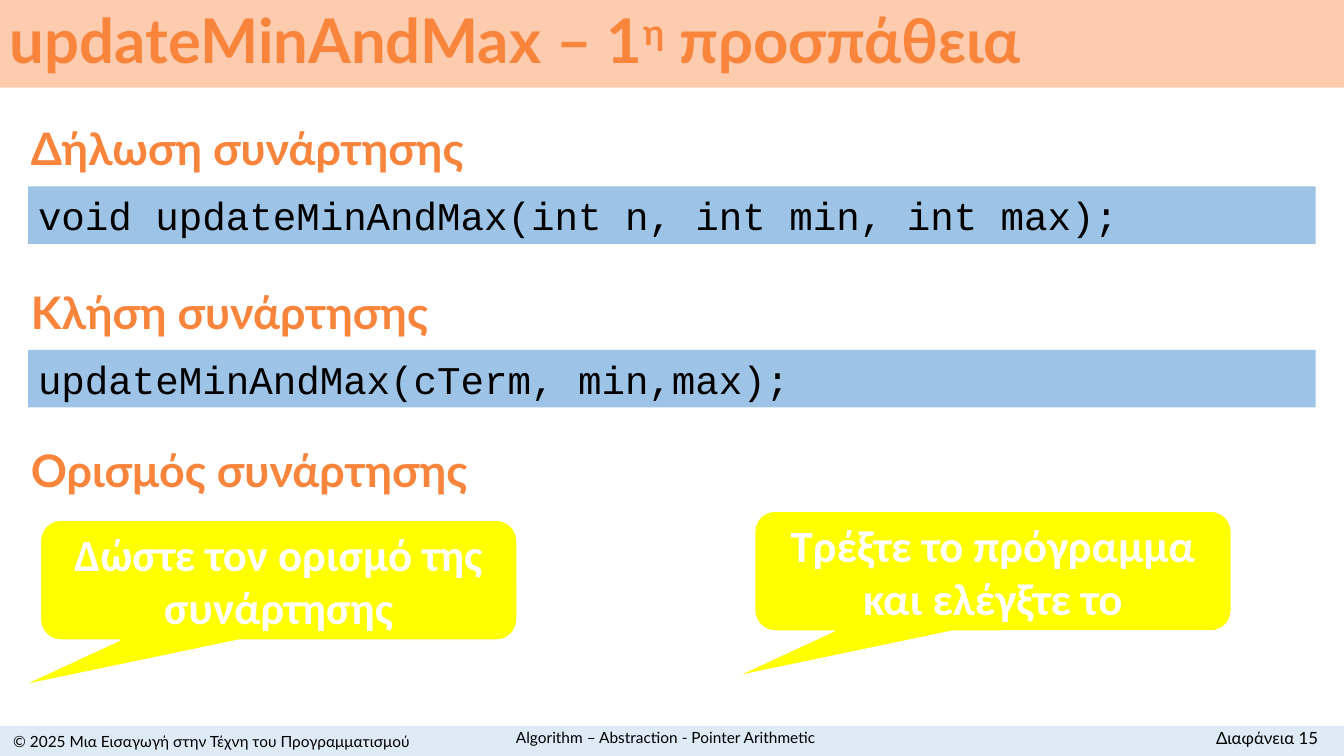
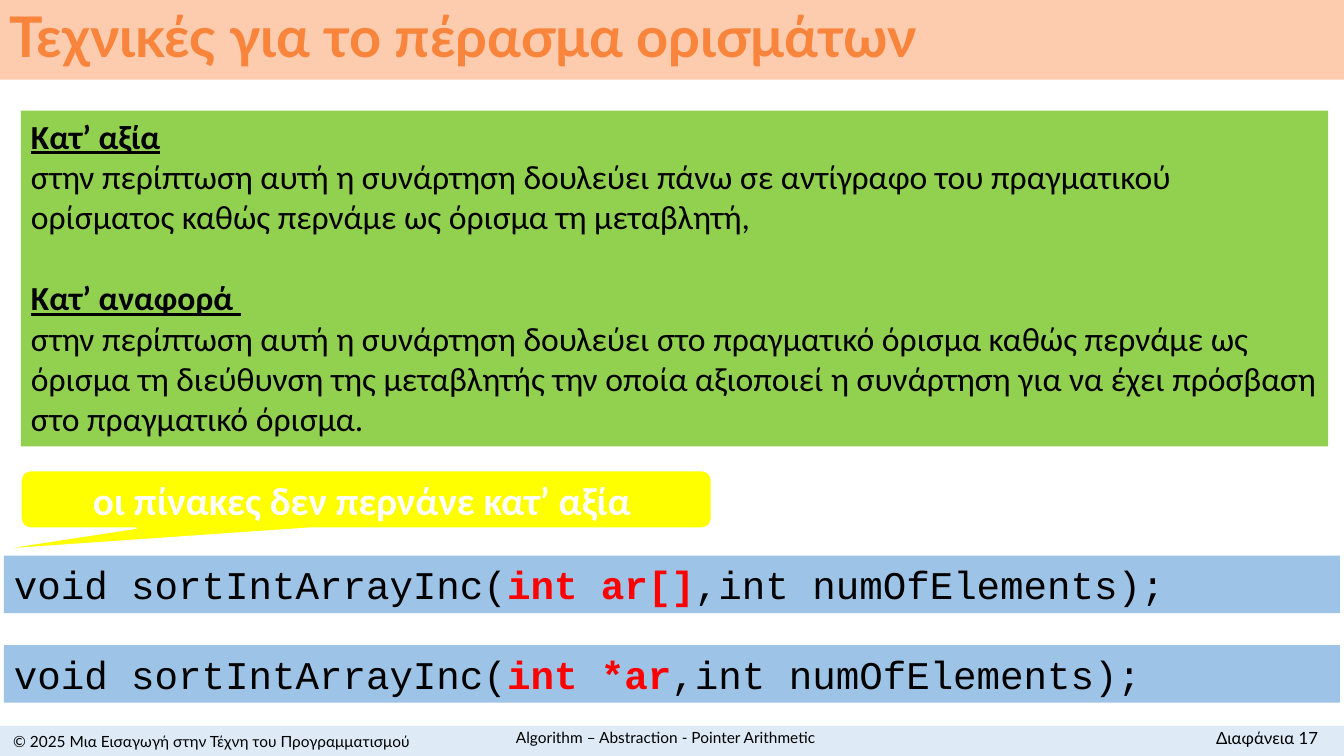
import pptx
import pptx.dml.color
import pptx.enum.shapes
import pptx.enum.text
import pptx.util

Cm, Pt = pptx.util.Cm, pptx.util.Pt
RGBColor = pptx.dml.color.RGBColor
SHAPE = pptx.enum.shapes.MSO_SHAPE
ALIGN = pptx.enum.text.PP_ALIGN
ANCHOR = pptx.enum.text.MSO_ANCHOR

ORANGE = RGBColor(0xF9, 0x85, 0x3D)
PEACH = RGBColor(0xFD, 0xCB, 0xAD)
PALE_BLUE = RGBColor(0xDE, 0xEB, 0xF7)
CODE_BLUE = RGBColor(0x9D, 0xC3, 0xE6)
GREEN = RGBColor(0x92, 0xD0, 0x50)
YELLOW = RGBColor(0xFF, 0xFF, 0x00)
RED = RGBColor(0xFF, 0x00, 0x00)
BLACK = RGBColor(0x00, 0x00, 0x00)
WHITE = RGBColor(0xFF, 0xFF, 0xFF)

SLIDE_WIDTH, SLIDE_HEIGHT = 33.87, 19.05
BAND_HEIGHT = 0.76
CODE_HEIGHT = 1.45
HEADING_TO_CODE = 1.78

COPYRIGHT = "© 2025 Μια Εισαγωγή στην Τέχνη του Προγραμματισμού"
LECTURE = "Algorithm – Abstraction - Pointer Arithmetic"

# A run is (text, changes to the style of its box).
SUPERSCRIPT = {"baseline": 30000}
TERM = {"bold": True, "underline": True}
KEY_CODE = {"bold": True, "color": RED}

FIRST_TRY = {
    "number": 15,
    "title": [("updateMinAndMax – 1", {}), ("η", SUPERSCRIPT), (" προσπάθεια", {})],
    "title_height": 2.21,
    "title_size": 44,
}
# Top, heading, code line below it
SECTIONS = [
    (2.92, "Δήλωση συνάρτησης", "void updateMinAndMax(int n, int min, int max);"),
    (7.04, "Κλήση συνάρτησης", "updateMinAndMax(cTerm, min,max);"),
    (11.02, "Ορισμός συνάρτησης", None),
]
TASKS = [
    (1.02, 13.11, "Δώστε τον ορισμό της συνάρτησης"),
    (19.02, 12.88, "Τρέξτε το πρόγραμμα και ελέγξτε το"),
]

PASSING = {
    "number": 17,
    "title": [("Τεχνικές για το πέρασμα ορισμάτων", {})],
    "title_height": 2.01,
    "title_size": 40,
}
TECHNIQUES = [
    ("Κατ’ αξία",
     "στην περίπτωση αυτή η συνάρτηση δουλεύει πάνω σε αντίγραφο του πραγματικού "
     "ορίσματος καθώς περνάμε ως όρισμα τη μεταβλητή,"),
    ("Κατ’ αναφορά ",
     "στην περίπτωση αυτή η συνάρτηση δουλεύει στο πραγματικό όρισμα καθώς περνάμε ως "
     "όρισμα τη διεύθυνση της μεταβλητής την οποία αξιοποιεί η συνάρτηση για να έχει "
     "πρόσβαση στο πραγματικό όρισμα."),
]
ARRAY_NOTE = "οι πίνακες δεν περνάνε κατ’ αξία "
ARRAY_PARAMETERS = [(14.0, "int ar[]"), (16.26, "int *ar")]


def write(box, paragraphs, size, font="Lato", color=BLACK, bold=False,
          align=ALIGN.LEFT, anchor=ANCHOR.TOP):
    """Fill a box with paragraphs, each a list of runs, and return its paragraphs."""
    frame = box.text_frame
    frame.word_wrap = True
    frame.vertical_anchor = anchor
    for index, runs in enumerate(paragraphs):
        para = frame.add_paragraph() if index else frame.paragraphs[0]
        para.alignment = align
        for text, changes in runs:
            span = para.add_run()
            span.text = text
            span.font.name = font
            span.font.size = Pt(size)
            span.font.bold = changes.get("bold", bold)
            span.font.underline = changes.get("underline", False)
            span.font.color.rgb = changes.get("color", color)
            if "baseline" in changes:
                span.font._element.set("baseline", str(changes["baseline"]))
    return frame.paragraphs


def add_panel(page, left, top, width, height, fill, shape=SHAPE.RECTANGLE):
    panel = page.shapes.add_shape(shape, Cm(left), Cm(top), Cm(width), Cm(height))
    panel.shadow.inherit = False
    panel.fill.solid()
    panel.fill.fore_color.rgb = fill
    panel.line.fill.background()
    return panel


def add_label(page, left, top, width, height, text, size, **style):
    box = page.shapes.add_textbox(Cm(left), Cm(top), Cm(width), Cm(height))
    write(box, [[(text, {})]], size, **style)


def add_code(page, left, top, runs):
    """Add a code strip with equal side margins."""
    strip = add_panel(page, left, top, SLIDE_WIDTH - 2 * left, CODE_HEIGHT, CODE_BLUE)
    write(strip, [runs], 28, font="Courier New")


def add_callout(page, left, top, width, height, text, size):
    callout = add_panel(page, left, top, width, height, YELLOW,
                        SHAPE.ROUNDED_RECTANGULAR_CALLOUT)
    for index, value in enumerate((-0.54, 0.88, 0.17)):
        callout.adjustments[index] = value
    callout.line.color.rgb = WHITE
    callout.line.width = Pt(1)
    write(callout, [[(text, {})]], size, font="Calibri", color=WHITE, bold=True,
          align=ALIGN.CENTER, anchor=ANCHOR.MIDDLE)


def add_page(deck, number, title, title_height, title_size):
    """Add a slide with its title band and footer."""
    page = deck.slides.add_slide(deck.slide_layouts[6])
    band = add_panel(page, 0, 0, SLIDE_WIDTH, title_height, PEACH)
    paragraphs = write(band, [title], title_size, color=ORANGE, bold=True,
                       anchor=ANCHOR.MIDDLE)
    paragraphs[0].line_spacing = 0.9
    add_panel(page, 0, SLIDE_HEIGHT - BAND_HEIGHT, SLIDE_WIDTH, BAND_HEIGHT, PALE_BLUE)
    centred = {"align": ALIGN.CENTER, "anchor": ANCHOR.MIDDLE}
    add_label(page, 0, 18.34, 10.67, 0.66, COPYRIGHT, 11, **centred)
    add_label(page, 10.34, 18.21, 12.88, BAND_HEIGHT, LECTURE, 11, **centred)
    add_label(page, 28.24, 18.21, 5.23, BAND_HEIGHT, f"Διαφάνεια {number}", 12,
              align=ALIGN.RIGHT)
    return page


def add_first_try(deck):
    page = add_page(deck, **FIRST_TRY)
    for top, heading, code in SECTIONS:
        add_label(page, 0.53, top, 17.3, 1.63, heading, 32, color=ORANGE, bold=True)
        if code:
            add_code(page, 0.71, top + HEADING_TO_CODE, [(code, {})])
    for left, top, task in TASKS:
        add_callout(page, left, top, 12.01, 3.02, task, 32)


def add_passing(deck):
    page = add_page(deck, **PASSING)
    panel = add_panel(page, 0.53, 2.79, 32.94, 8.46, GREEN)
    paragraphs = []
    for term, meaning in TECHNIQUES:
        paragraphs += [[(term, TERM)], [(meaning, {})]]
    written = write(panel, paragraphs, 24, font="Calibri")
    for para in written[2::2]:
        para.space_before = Pt(29)
    for top, parameter in ARRAY_PARAMETERS:
        add_code(page, 0.1, top, [("void sortIntArrayInc(", {}), (parameter, KEY_CODE),
                                  (",int numOfElements);", {})])
    add_callout(page, 0.53, 11.86, 17.4, CODE_HEIGHT, ARRAY_NOTE, 28)


def main():
    deck = pptx.Presentation()
    deck.slide_width, deck.slide_height = Cm(SLIDE_WIDTH), Cm(SLIDE_HEIGHT)
    add_first_try(deck)
    add_passing(deck)
    deck.save("out.pptx")


if __name__ == "__main__":
    main()
